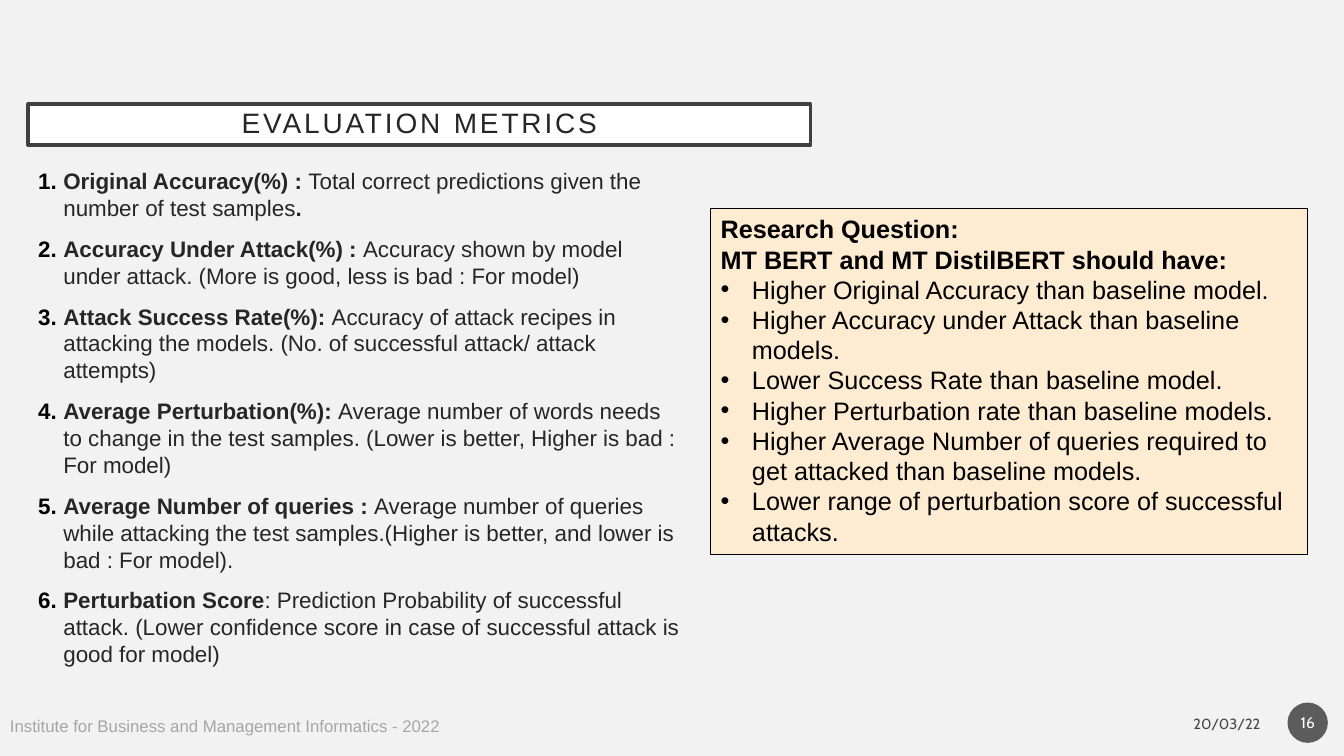
"""Build the evaluation metrics slide."""
from dataclasses import dataclass

from lxml import etree
from pptx import Presentation
from pptx.dml.color import RGBColor
from pptx.enum.shapes import MSO_SHAPE
from pptx.enum.text import MSO_ANCHOR, MSO_AUTO_SIZE, PP_ALIGN
from pptx.oxml.ns import qn
from pptx.util import Inches, Pt

RECTANGLE, OVAL = MSO_SHAPE.RECTANGLE, MSO_SHAPE.OVAL
TOP, MIDDLE = MSO_ANCHOR.TOP, MSO_ANCHOR.MIDDLE
LEFT, CENTER, RIGHT = PP_ALIGN.LEFT, PP_ALIGN.CENTER, PP_ALIGN.RIGHT
NO_AUTOFIT = MSO_AUTO_SIZE.NONE
TITLE_ONLY = 5
BLACK, DARK, WHITE = "000000", "262626", "FFFFFF"


@dataclass
class Metric:
    """A metric's name, its description and a bold ending."""
    name: str
    description: str
    ending: str = ""


METRICS = [
    Metric("Original Accuracy(%) : ",
           "Total correct predictions given the number of test samples", "."),
    Metric("Accuracy Under Attack(%) : ",
           "Accuracy shown by model under attack. (More is good, less is bad : For model)"),
    Metric("Attack Success Rate(%): ",
           "Accuracy of attack recipes in attacking the models. "
           "(No. of successful attack/ attack attempts)"),
    Metric("Average Perturbation(%): ",
           "Average number of words needs to change in the test samples. "
           "(Lower is better, Higher is bad : For model)"),
    Metric("Average Number of queries : ",
           "Average number of queries while attacking the test samples."
           "(Higher is better, and lower is bad : For model)."),
    Metric("Perturbation Score",
           ": Prediction Probability of successful attack. "
           "(Lower confidence score in case of successful attack is good for model)"),
]
QUESTION_HEADINGS = ["Research Question:", "MT BERT and MT DistilBERT should have:"]
EXPECTATIONS = [
    "Higher Original Accuracy than baseline model.",
    "Higher Accuracy under Attack than baseline models.",
    "Lower Success Rate than baseline model.",
    "Higher Perturbation rate than baseline models.",
    "Higher Average Number of queries required to get attacked than baseline models.",
    "Lower range of perturbation score of successful attacks.",
]


def set_fill(fill, color: str, alpha: int = 100) -> None:
    """Apply a solid hex colour with an opacity in percent."""
    fill.solid()
    fill.fore_color.rgb = RGBColor.from_string(color)
    if alpha < 100:
        for element in fill._xPr.iter(qn("a:srgbClr")):
            etree.SubElement(element, qn("a:alpha"), val=str(alpha * 1000))


def add_run(paragraph, text: str, *, size: float, color: str = BLACK, bold: bool = False,
            font: str = "Arial", alpha: int = 100):
    """Add formatted text to a paragraph."""
    run = paragraph.add_run()
    run.text = text
    run.font.size, run.font.name, run.font.bold = Pt(size), font, bold
    set_fill(run.font.fill, color, alpha)
    return run


def next_paragraph(frame, align=LEFT):
    """Return the empty first paragraph or a new one."""
    first = frame.paragraphs[0]
    paragraph = frame.add_paragraph() if first.runs else first
    paragraph.alignment = align
    return paragraph


def add_bullet(paragraph, indent: float, tag: str, **attributes: str) -> None:
    """Give a paragraph a hanging indent and a black bullet."""
    properties = paragraph._p.get_or_add_pPr()
    properties.set("marL", str(Inches(indent)))
    properties.set("indent", str(-Inches(indent)))
    color = etree.SubElement(properties, qn("a:buClr"))
    etree.SubElement(color, qn("a:srgbClr"), val=BLACK)
    etree.SubElement(properties, qn("a:buFont"), typeface="Arial")
    etree.SubElement(properties, qn(tag), attributes)


def place(shape, left: float, top: float, width: float, height: float) -> None:
    """Position a shape in inches."""
    shape.left, shape.top = Inches(left), Inches(top)
    shape.width, shape.height = Inches(width), Inches(height)


def add_text_box(slide, *bounds: float, anchor=TOP, wrap: bool = True):
    """Add a text box and return its text frame."""
    frame = slide.shapes.add_textbox(*map(Inches, bounds)).text_frame
    frame.word_wrap, frame.vertical_anchor = wrap, anchor
    return frame


def add_panel(slide, kind, *bounds: float, fill: str, alpha: int = 100, anchor=TOP):
    """Add a filled shape without shadow."""
    shape = slide.shapes.add_shape(kind, *map(Inches, bounds))
    shape.shadow.inherit = False
    set_fill(shape.fill, fill, alpha)
    shape.text_frame.word_wrap, shape.text_frame.vertical_anchor = True, anchor
    return shape


def set_line(shape, color: str, width: float) -> None:
    """Outline a shape."""
    set_fill(shape.line.fill, color)
    shape.line.width = Pt(width)


def format_title(title) -> None:
    """Fill and frame the title placeholder."""
    place(title, 0.28, 1.03, 7.76, 0.41)
    set_fill(title.fill, WHITE)
    set_line(title, "404040", 2.5)
    frame = title.text_frame
    frame.auto_size, frame.vertical_anchor, frame.word_wrap = NO_AUTOFIT, MIDDLE, True
    frame.margin_left = frame.margin_right = Inches(0.2)
    frame.margin_top = frame.margin_bottom = Inches(0.2)
    paragraph = next_paragraph(frame, CENTER)
    paragraph.line_spacing = 0.9
    run = add_run(paragraph, "EVALUATION METRICS", size=20, color=DARK)
    run.font._element.set("spc", "200")


def add_metrics(slide) -> None:
    """Add the numbered list of metrics."""
    frame = add_text_box(slide, 0.28, 1.61, 6.61, 5.26)
    for index, metric in enumerate(METRICS):
        paragraph = next_paragraph(frame)
        if index:
            paragraph.space_before = Pt(10)
        add_bullet(paragraph, 0.25, "a:buAutoNum", type="arabicPeriod")
        add_run(paragraph, metric.name, size=16, color=DARK, bold=True)
        add_run(paragraph, metric.description, size=16, color=DARK)
        if metric.ending:
            add_run(paragraph, metric.ending, size=16, color=DARK, bold=True)


def add_research_question(slide) -> None:
    """Add the panel with the expected results."""
    panel = add_panel(slide, RECTANGLE, 7.05, 2.07, 5.92, 3.43, fill="FDECD2")
    set_line(panel, BLACK, 0.75)
    for heading in QUESTION_HEADINGS:
        add_run(next_paragraph(panel.text_frame), heading, size=18, bold=True)
    for expectation in EXPECTATIONS:
        paragraph = next_paragraph(panel.text_frame)
        add_bullet(paragraph, 0.31, "a:buChar", char="•")
        add_run(paragraph, expectation, size=18)


def add_footer(slide) -> None:
    """Add the institute, the date and the slide number."""
    institute = add_text_box(slide, 0, 7.05, 4.51, 0.3, wrap=False)
    add_run(next_paragraph(institute), "Institute for Business and Management Informatics - 2022",
            size=12, color="A6A6A6")
    date = add_text_box(slide, 9.59, 7, 3.01, 0.35, anchor=MIDDLE)
    add_run(next_paragraph(date, RIGHT), "20/03/22", size=10.5, font="Cabin", alpha=70)
    badge = add_panel(slide, OVAL, 12.77, 6.97, 0.4, 0.4, fill="1D1D1D", alpha=70, anchor=MIDDLE)
    badge.line.fill.background()
    badge.text_frame.margin_left = badge.text_frame.margin_right = Inches(0.02)
    add_run(next_paragraph(badge.text_frame, CENTER), "16", size=11, color=WHITE, font="Cabin")


def main() -> None:
    """Build and save the presentation."""
    presentation = Presentation()
    presentation.slide_width, presentation.slide_height = Inches(13.33), Inches(7.5)
    slide = presentation.slides.add_slide(presentation.slide_layouts[TITLE_ONLY])
    set_fill(slide.background.fill, "F2F2F2")
    format_title(slide.shapes.title)
    add_metrics(slide)
    add_research_question(slide)
    add_footer(slide)
    presentation.save("out.pptx")


if __name__ == "__main__":
    main()
